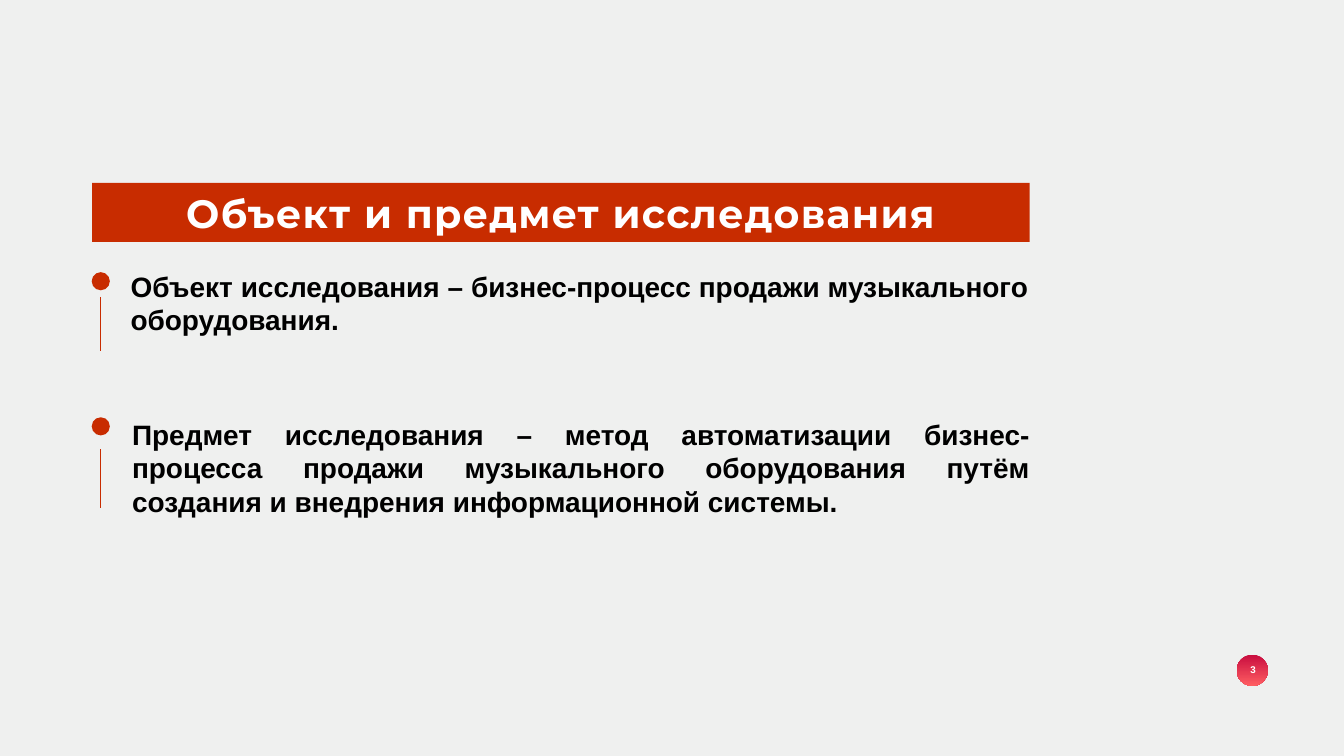
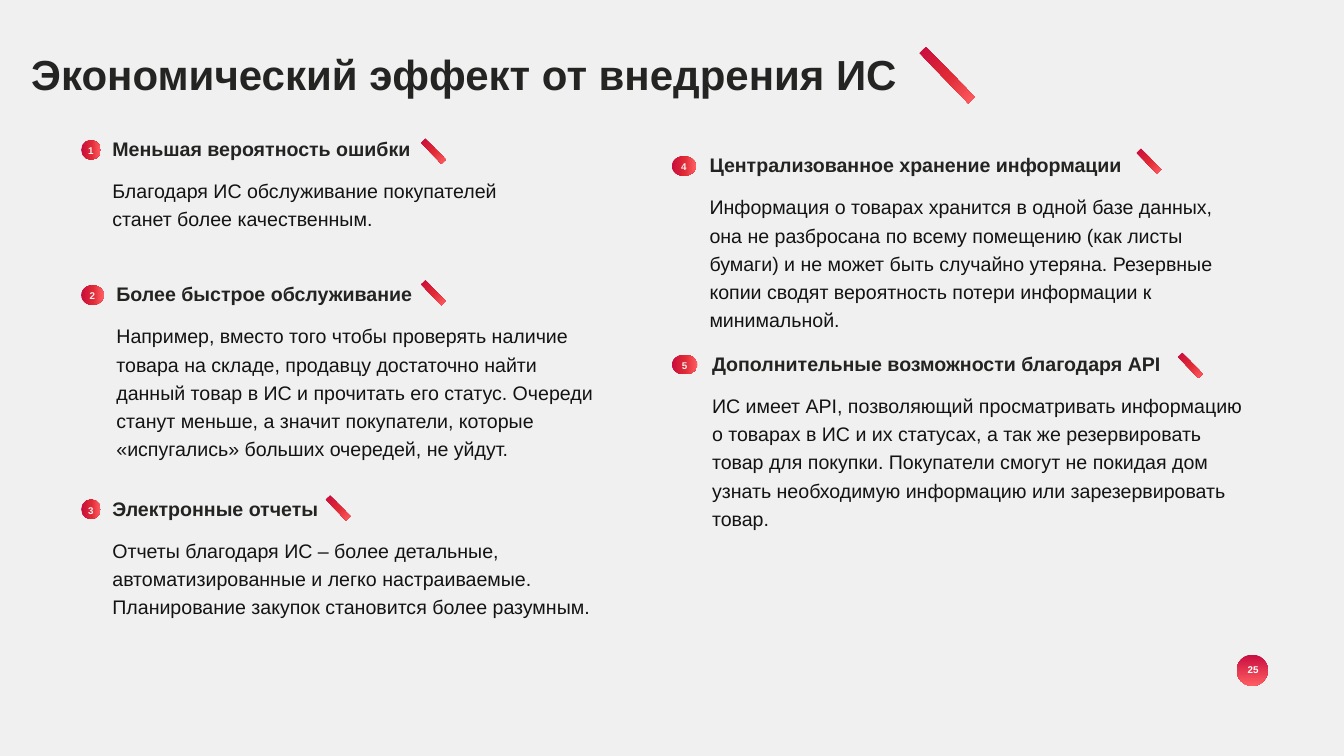
from lxml import etree
from pptx import Presentation
from pptx.dml.color import RGBColor
from pptx.enum.shapes import MSO_CONNECTOR, MSO_SHAPE
from pptx.enum.text import MSO_ANCHOR, MSO_AUTO_SIZE, PP_ALIGN
from pptx.oxml.ns import qn
from pptx.util import Pt

PX = 9144  # EMU in one px, 100 px to the inch
TITLE_ONLY = 5
OVAL, RECT = MSO_SHAPE.OVAL, MSO_SHAPE.RECTANGLE
STRAIGHT = MSO_CONNECTOR.STRAIGHT
TOP, MIDDLE = MSO_ANCHOR.TOP, MSO_ANCHOR.MIDDLE
LEFT, CENTER, JUSTIFY = PP_ALIGN.LEFT, PP_ALIGN.CENTER, PP_ALIGN.JUSTIFY
NO_FIT = MSO_AUTO_SIZE.NONE

BACKGROUND = "EFF0EF"
WHITE = "FFFFFF"
RED = "C82C00"
PAGE_STOPS = [(0, "C80D3F"), (100, "FF5E62")]
ACCENT_STOPS = [(1, "C80D3F"), (51, "DF2935"), (100, "FF5E62")]
INSET = 6

BANNER = {"size": 56.4, "name": "Montserrat", "bold": True, "color": WHITE}
HEADLINE = {"size": 60, "bold": True, "color": "242423"}
STATEMENT = {"size": 40, "bold": True, "color": "000000"}
HEADING = {"size": 28, "bold": True, "color": "232422"}
BODY = {"size": 28, "bold": False, "color": "131313"}
PAGE_NUMBER = {"size": 14, "bold": True, "color": WHITE}
BADGE_NUMBER = {"size": 14, "bold": True, "color": BACKGROUND}

# text top, text left, dot top, line ends, text
STATEMENTS = [
    (534, 259, 540, (589, 696),
     "Объект исследования – бизнес-процесс продажи музыкального оборудования."),
    (828, 262, 828, (891, 1007),
     "Предмет исследования – метод автоматизации бизнес-процесса продажи "
     "музыкального оборудования путём создания и внедрения информационной "
     "системы."),
]

# badge left, badge width, text left, top, body width, (dash left, dash top), heading, body
EFFECTS = [
    (161, 39, 217, 266, 835, (831, 294), "Меньшая вероятность ошибки",
     "Благодаря ИС обслуживание покупателей станет более качественным."),
    (161, 45, 225, 554, 960, (831, 575), "Более быстрое обслуживание",
     "Например, вместо того чтобы проверять наличие товара на складе, продавцу "
     "достаточно найти данный товар в ИС и прочитать его статус. Очереди станут "
     "меньше, а значит покупатели, которые «испугались» больших очередей, не уйдут."),
    (161, 39, 217, 979, 968, (642, 1002), "Электронные отчеты",
     "Отчеты благодаря ИС – более детальные, автоматизированные и легко "
     "настраиваемые. Планирование закупок становится более разумным."),
    (1333, 48, 1402, 298, 1016, (2251, 314), "Централизованное хранение информации",
     "Информация о товарах хранится в одной базе данных, она не разбросана по "
     "всему помещению (как листы бумаги) и не может быть случайно утеряна. "
     "Резервные копии сводят вероятность потери информации к минимальной."),
    (1333, 51, 1407, 692, 1093, (2333, 719), "Дополнительные возможности благодаря API",
     "ИС имеет API, позволяющий просматривать информацию о товарах в ИС и их "
     "статусах, а так же резервировать товар для покупки. Покупатели смогут не "
     "покидая дом узнать необходимую информацию или зарезервировать товар."),
]


def rgb(color):
    return RGBColor.from_string(color)


def emu(*lengths):
    return [n * PX for n in lengths]


def write(s, text, font, align=LEFT, anchor=TOP, inset=INSET, wrap=True, **paragraph):
    """Put one formatted paragraph into a shape; extra arguments are paragraph attributes."""
    tf = s.text_frame
    frame = {"auto_size": NO_FIT, "word_wrap": wrap, "vertical_anchor": anchor}
    for side in ("left", "top", "right", "bottom"):
        frame["margin_" + side] = inset * PX
    for name, value in frame.items():
        setattr(tf, name, value)
    p = tf.paragraphs[0]
    for name, value in {"alignment": align, **paragraph}.items():
        setattr(p, name, value)
    r = p.add_run()
    r.text = text
    for name, value in {"name": "Arial", **font}.items():
        if name == "color":
            r.font.color.rgb = rgb(value)
        else:
            setattr(r.font, name, Pt(value) if name == "size" else value)
    return r


def add_text(shapes, box, text, font, **options):
    write(shapes.add_textbox(*emu(*box)), text, font, **options)


def add_plain(shapes, kind, box):
    s = shapes.add_shape(kind, *emu(*box))
    s.shadow.inherit = False
    s.line.fill.background()
    return s


def add_gradient(shapes, kind, box, stops, angle=0, rotation=0):
    s = add_plain(shapes, kind, box)
    s.rotation = rotation
    s.fill.gradient()
    s.fill.gradient_angle = angle
    gs_list = s.fill._xPr.find(".//" + qn("a:gsLst"))
    for gs in list(gs_list):
        gs_list.remove(gs)
    for percent, color in stops:
        gs = etree.SubElement(gs_list, qn("a:gs"), pos=str(percent * 1000))
        etree.SubElement(gs, qn("a:srgbClr"), val=color)


def add_dash(shapes, left, top, width=58, height=12):
    add_gradient(shapes, RECT, (left, top, width, height), ACCENT_STOPS, rotation=45.8)


def add_line(shapes, start, end):
    line = shapes.add_connector(STRAIGHT, *emu(*start, *end))
    line.line.color.rgb = rgb(RED)
    line.line.width = Pt(1)
    etree.SubElement(line._element.spPr, qn("a:effectLst"))


def add_slide(prs, page):
    slide = prs.slides.add_slide(prs.slide_layouts[TITLE_ONLY])
    add_gradient(slide.shapes, OVAL, (2454, 1299, 62, 62), PAGE_STOPS, angle=270)
    add_text(slide.shapes, (2400, 1311, 173, 35), page, PAGE_NUMBER,
             align=CENTER, anchor=MIDDLE)
    return slide


def place_title(slide, box):
    title = slide.shapes.title
    title.left, title.top, title.width, title.height = emu(*box)
    return title


def add_statement(shapes, top, left, dot_top, line_ends, text):
    add_text(shapes, (left, top, 1781, 200), text, STATEMENT,
             align=JUSTIFY, inset=0, space_after=Pt(18.8))
    dot = add_plain(shapes, OVAL, (182, dot_top, 36, 36))
    dot.fill.solid()
    dot.fill.fore_color.rgb = rgb(RED)
    start, end = line_ends
    add_line(shapes, (199, start), (199, end))


def add_effect(shapes, number, badge_left, badge_width, left, top, width, dash,
               heading, body):
    """Add a numbered badge with its heading and body as one group, then its dash."""
    group = shapes.add_group_shape().shapes
    add_text(group, (left, top + 74, width, 345), body, BODY, line_spacing=1.2)
    add_text(group, (left, top, 1052, 58), heading, HEADING)
    add_gradient(group, OVAL, (badge_left, top + 12, badge_width, 39), ACCENT_STOPS)
    add_text(group, (badge_left, top + 11, badge_width, 37), str(number), BADGE_NUMBER,
             align=CENTER, line_spacing=1.2)
    add_dash(shapes, *dash)


def build_subject_slide(prs):
    slide = add_slide(prs, "3")
    title = place_title(slide, (183, 363, 1860, 117))
    title.fill.solid()
    title.fill.fore_color.rgb = rgb(RED)
    r = write(title, "Объект и предмет исследования", BANNER, align=CENTER, anchor=MIDDLE)
    r.font._element.set("spc", "190")
    for statement in STATEMENTS:
        add_statement(slide.shapes, *statement)


def build_effect_slide(prs):
    slide = add_slide(prs, "25")
    title = place_title(slide, (56, 91, 1752, 112))
    write(title, "Экономический эффект от внедрения ИС", HEADLINE, wrap=False)
    add_dash(slide.shapes, 1810, 140, 139, 18)
    for number, effect in enumerate(EFFECTS, 1):
        add_effect(slide.shapes, number, *effect)


def main():
    prs = Presentation()
    prs.slide_width, prs.slide_height = emu(2667, 1500)
    fill = prs.slide_master.background.fill
    fill.solid()
    fill.fore_color.rgb = rgb(BACKGROUND)
    build_subject_slide(prs)
    build_effect_slide(prs)
    prs.save("out.pptx")


if __name__ == "__main__":
    main()
